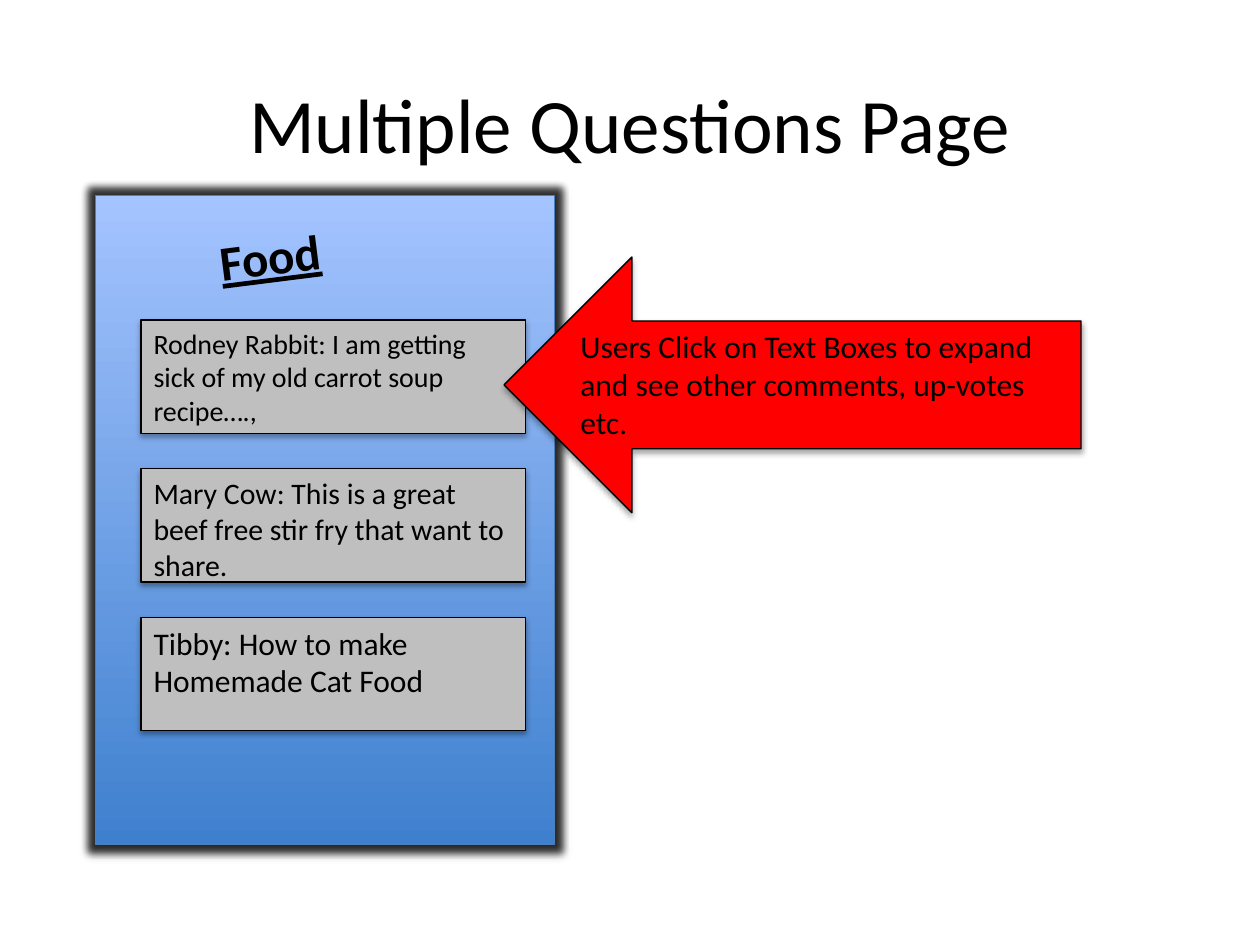
import pptx
import pptx.util
import pptx.dml.color
import pptx.enum.shapes
import pptx.enum.text
import pptx.oxml
import pptx.oxml.ns

Inches, Pt = pptx.util.Inches, pptx.util.Pt
SHAPE = pptx.enum.shapes.MSO_SHAPE
ALIGN = pptx.enum.text.PP_ALIGN
ANCHOR = pptx.enum.text.MSO_ANCHOR

# Content
TITLE = "Multiple Questions Page"
TOPIC = "Food"
POSTS = [  # text, type size
    ("Rodney Rabbit: I am getting sick of my old carrot soup recipe….,", 16),
    ("Mary Cow: This is a great beef free stir fry that want to share.", 17),
    ("Tibby: How to make Homemade Cat Food", 18),
]
HINT = "Users Click on Text Boxes to expand and see other comments, up-votes etc."

THEME = {
    "font": "Calibri", "ink": "000000", "post": "BFBFBF", "hint": "FF0000",
    "low": "3F80CE", "high": "A4C4FF", "edge": "4B7EBC",
    "title": 44, "topic": 28, "note": 18,
}
POST_TOP, POST_STEP = 2.54, 1.18

GLOW = '<a:glow {} rad="101600"><a:srgbClr val="000000"><a:alpha val="75000"/></a:srgbClr></a:glow>'
SHADE = ('<a:outerShdw {} blurRad="40000" dist="23000" dir="5400000" rotWithShape="0">'
         '<a:srgbClr val="000000"><a:alpha val="35000"/></a:srgbClr></a:outerShdw>')


def tint(name):
    return pptx.dml.color.RGBColor.from_string(THEME[name])


def write(shape, text, size, align=ALIGN.LEFT, anchor=ANCHOR.TOP, **style):
    frame = shape.text_frame
    frame.text = text
    frame.word_wrap = True
    frame.vertical_anchor = anchor
    line = frame.paragraphs[0]
    line.alignment = align
    font = line.runs[0].font
    font.name, font.size = THEME["font"], Pt(size)
    font.color.rgb = tint("ink")
    for key, value in style.items():
        setattr(font, key, value)


def block(slide, kind, place, edge, effects):
    shape = slide.shapes.add_shape(kind, *map(Inches, place))
    shape.line.color.rgb = tint(edge)
    shape.line.width = Pt(0.75)
    shape.shadow.inherit = False
    group = shape._element.spPr.find(pptx.oxml.ns.qn("a:effectLst"))
    for effect in effects:
        group.append(pptx.oxml.parse_xml(effect.format(pptx.oxml.ns.nsdecls("a"))))
    return shape


def card(slide, kind, place, fill, text, size):
    shape = block(slide, kind, place, "ink", [SHADE])
    shape.fill.solid()
    shape.fill.fore_color.rgb = tint(fill)
    write(shape, text, size)


def main():
    deck = pptx.Presentation()
    deck.slide_width, deck.slide_height = Inches(10), Inches(7.5)
    slide = deck.slides.add_slide(deck.slide_layouts[6])

    # Glowing panel, dark at the foot
    panel = block(slide, SHAPE.FLOWCHART_PROCESS, (0.76, 1.55, 3.64, 5.15), "edge", [GLOW, SHADE])
    panel.fill.gradient()
    panel.fill.gradient_angle = 90
    for stop, name in zip(panel.fill.gradient_stops, ("low", "high")):
        stop.color.rgb = tint(name)

    # Title and tilted topic
    title = slide.shapes.add_textbox(*map(Inches, (0.5, 0.35, 9, 1.25)))
    write(title, TITLE, THEME["title"], ALIGN.CENTER, ANCHOR.MIDDLE)
    topic = slide.shapes.add_textbox(*map(Inches, (1.64, 1.71, 1.59, 0.57)))
    topic.rotation = 352.8
    write(topic, TOPIC, THEME["topic"], bold=True, underline=True)

    # Posts
    for i, (text, size) in enumerate(POSTS):
        place = (1.12, POST_TOP + i * POST_STEP, 3.05, 0.9)
        card(slide, SHAPE.RECTANGLE, place, "post", text, size)

    # Hint arrow
    card(slide, SHAPE.LEFT_ARROW, (4, 2.04, 4.58, 2.03), "hint", HINT, THEME["note"])

    deck.save("out.pptx")


if __name__ == "__main__":
    main()
